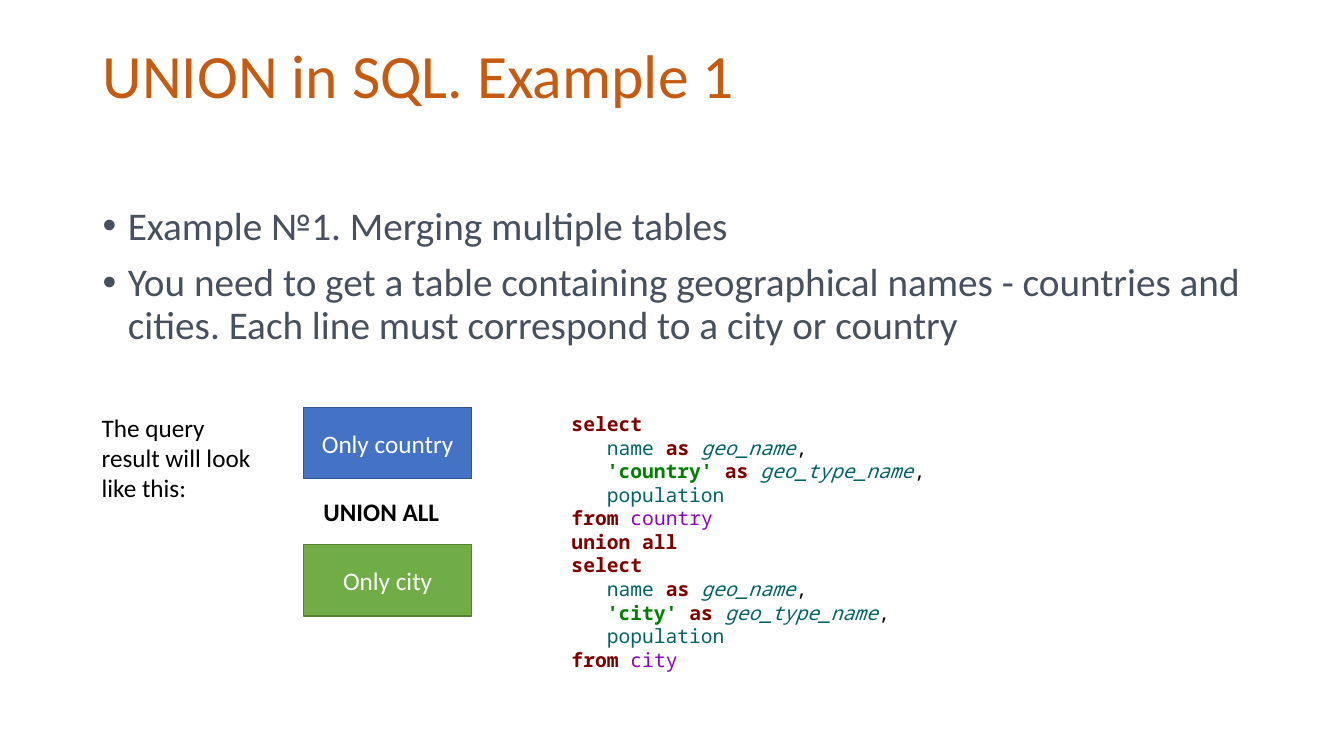
from dataclasses import dataclass

from lxml import etree
from pptx import Presentation
from pptx import util as u
from pptx.dml.color import RGBColor
from pptx.enum import shapes, text
from pptx.oxml.ns import qn


@dataclass(frozen=True)
class Theme:
    sans: str = "Calibri"
    mono: str = "Noto Sans Mono"
    title: str = "C55A11"
    body: str = "46505E"
    black: str = "000000"
    white: str = "FFFFFF"
    blue: tuple = ("4472C4", "325491")
    green: tuple = ("70AD47", "538035")
    head: int = 44
    large: int = 28
    label: int = 18
    code: int = 14


THEME = Theme()

STYLES = {
    "key": ("800000", True, False),
    "name": ("006464", False, False),
    "alias": ("006464", False, True),
    "string": ("008000", True, False),
    "table": ("8E00C6", False, False),
    "mark": (THEME.black, False, False),
}


def style(run, size, color, bold=False, slant=False, face=THEME.sans):
    font = run.font
    font.name, font.size = face, u.Pt(size)
    font.bold, font.italic = bold, slant
    font.color.rgb = RGBColor.from_string(color)


def indent(para, left, first=0):
    props = para._p.get_or_add_pPr()
    props.set("marL", str(u.Inches(left)))
    props.set("indent", str(u.Inches(first)))
    return props


def add_text(slide, box, words, size, color, bold=False):
    frame = slide.shapes.add_textbox(*map(u.Inches, box)).text_frame
    frame.word_wrap = True
    frame.text = words
    for para in frame.paragraphs:
        for run in para.runs:
            style(run, size, color, bold)
    return frame


def add_list(slide, box, items):
    frame = add_text(slide, box, "\n".join(items), THEME.large, THEME.body)
    for para in frame.paragraphs:
        para.line_spacing = 0.9
        para.space_before = u.Pt(10)
        props = indent(para, 0.25, -0.25)
        etree.SubElement(props, qn("a:buFont")).set("typeface", "Arial")
        etree.SubElement(props, qn("a:buChar")).set("char", "•")


def add_block(slide, top, words, colors):
    box = (3.01, top, 1.67, 0.71)
    shape = slide.shapes.add_shape(
        shapes.MSO_SHAPE.RECTANGLE, *map(u.Inches, box))
    fill, edge = map(RGBColor.from_string, colors)
    shape.shadow.inherit = False
    shape.fill.solid()
    shape.fill.fore_color.rgb = fill
    shape.line.color.rgb = edge
    shape.line.width = u.Pt(1)
    frame = shape.text_frame
    frame.text = words
    frame.vertical_anchor = text.MSO_ANCHOR.MIDDLE
    para = frame.paragraphs[0]
    para.alignment = text.PP_ALIGN.CENTER
    style(para.runs[0], THEME.label, THEME.white)


def query(table):
    return [
        (0, [("select", "key")]),
        (1, [("name ", "name"), ("as ", "key"),
             ("geo_name", "alias"), (",", "mark")]),
        (1, [(f"'{table}' ", "string"), ("as ", "key"),
             ("geo_type_name", "alias"), (",", "mark")]),
        (1, [("population", "name")]),
        (0, [("from ", "key"), (table, "table")]),
    ]


def add_code(slide, box, lines):
    frame = slide.shapes.add_textbox(*map(u.Inches, box)).text_frame
    frame.word_wrap = True
    for row, (level, parts) in enumerate(lines):
        para = frame.add_paragraph() if row else frame.paragraphs[0]
        indent(para, 0.35 * level)
        for words, kind in parts:
            run = para.add_run()
            run.text = words
            style(run, THEME.code, *STYLES[kind], face=THEME.mono)


def main():
    deck = Presentation()
    deck.slide_width, deck.slide_height = u.Inches(13.33), u.Inches(7.5)
    slide = deck.slides.add_slide(deck.slide_layouts[6])

    title = add_text(slide, (0.92, 0.4, 11.5, 1.45),
                     "UNION in SQL. Example 1", THEME.head, THEME.title)
    title.paragraphs[0].line_spacing = 0.9
    add_list(slide, (0.92, 2, 11.5, 2.05), [
        "Example №1. Merging multiple tables",
        "You need to get a table containing geographical names - countries "
        "and cities. Each line must correspond to a city or country",
    ])
    add_block(slide, 4.04, "Only country", THEME.blue)
    add_block(slide, 5.4, "Only city", THEME.green)
    add_text(slide, (3.11, 4.87, 1.49, 0.4), "UNION ALL",
             THEME.label, THEME.black, bold=True)
    add_text(slide, (0.91, 4.04, 1.8, 1.01),
             "The query result will look like this:",
             THEME.label, THEME.black)
    union = [(0, [("union all", "key")])]
    add_code(slide, (5.57, 4.04, 3.84, 2.93),
             query("country") + union + query("city"))
    deck.save("out.pptx")


if __name__ == "__main__":
    main()
